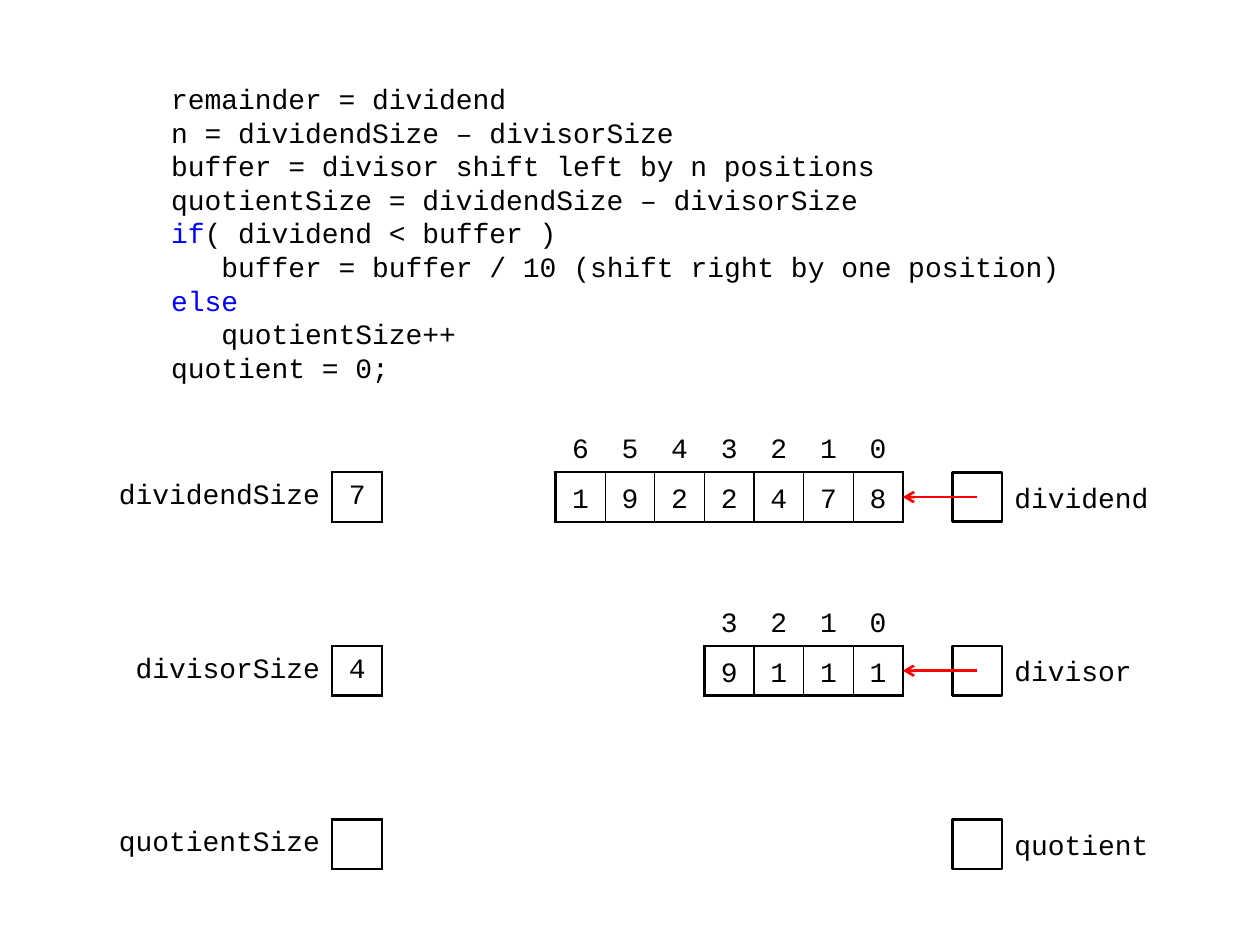
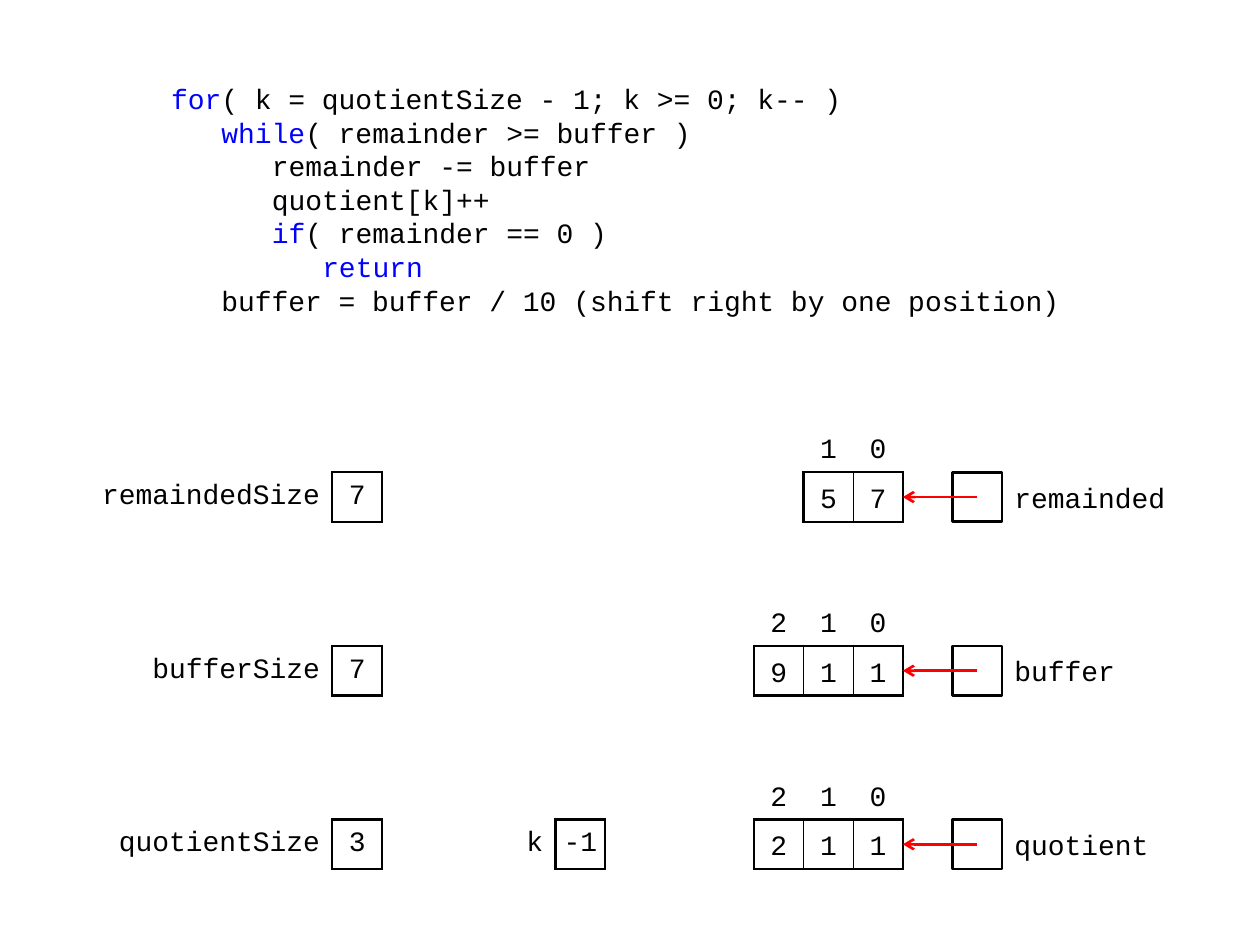
import pptx
import pptx.util
import pptx.dml.color
import pptx.enum.shapes
import pptx.enum.text
import pptx.oxml.ns
import lxml.etree

Cm = pptx.util.Cm
Pt = pptx.util.Pt
RGBColor = pptx.dml.color.RGBColor
ALIGN = pptx.enum.text.PP_ALIGN
MIDDLE = pptx.enum.text.MSO_ANCHOR.MIDDLE
qn = pptx.oxml.ns.qn

BLACK = RGBColor(0, 0, 0)
WHITE = RGBColor(255, 255, 255)
KEYWORD_BLUE = RGBColor(0, 0, 255)
ARROW_RED = RGBColor(255, 0, 0)
FONT = "Courier New"
FONT_SIZE = 16
THICK, THIN = 1.5, 0.75

CELL = 1
FIRST_ROW, ROW_STEP = 9.52, 3.5
SIZE_RIGHT, COUNTER_RIGHT = 7.7, 12.2
DIGITS_RIGHT = 18.2
POINTER_LEFT = DIGITS_RIGHT + CELL
NAME_LEFT = POINTER_LEFT + CELL
INDENT = Pt(3 * 0.6 * FONT_SIZE)

SLIDES = [
    {
        "code": [
            (0, "", "remainder = dividend"),
            (0, "", "n = dividendSize – divisorSize"),
            (0, "", "buffer = divisor shift left by n positions"),
            (0, "", "quotientSize = dividendSize – divisorSize"),
            (0, "if", "( dividend < buffer )"),
            (1, "", "buffer = buffer / 10 (shift right by one position)"),
            (0, "else", ""),
            (1, "", "quotientSize++"),
            (0, "", "quotient = 0;"),
        ],
        "numbers": [
            ("dividendSize", "7", "dividend", "1922478"),
            ("divisorSize", "4", "divisor", "9111"),
            ("quotientSize", "", "quotient", ""),
        ],
        "counter": None,
    },
    {
        "code": [
            (0, "for", "( k = quotientSize - 1; k >= 0; k-- )"),
            (1, "while", "( remainder >= buffer )"),
            (2, "", "remainder -= buffer"),
            (2, "", "quotient[k]++"),
            (2, "if", "( remainder == 0 )"),
            (3, "return", ""),
            (1, "", "buffer = buffer / 10 (shift right by one position)"),
        ],
        "numbers": [
            ("remaindedSize", "7", "remainded", "57"),
            ("bufferSize", "7", "buffer", "911"),
            ("quotientSize", "3", "quotient", "211"),
        ],
        "counter": ("k", "-1"),
    },
]


def format_run(run, color=BLACK):
    run.font.name = FONT
    run.font.size = Pt(FONT_SIZE)
    run.font.color.rgb = color


def add_code(slide, lines):
    box = slide.shapes.add_textbox(Cm(3.2), Cm(1.52), Cm(19), Cm(6.5))
    frame = box.text_frame
    frame.word_wrap = True
    for number, (level, keyword, rest) in enumerate(lines):
        paragraph = frame.add_paragraph() if number else frame.paragraphs[0]
        paragraph.line_spacing = Pt(1.2 * FONT_SIZE)
        paragraph._p.get_or_add_pPr().set("marL", str(level * INDENT))
        for text, color in ((keyword, KEYWORD_BLUE), (rest, BLACK)):
            if text:
                run = paragraph.add_run()
                run.text = text
                format_run(run, color)


def set_borders(cell, left=0, right=0, top=0, bottom=0):
    properties = cell._tc.get_or_add_tcPr()
    for side, width in zip("LRTB", (left, right, top, bottom)):
        line = lxml.etree.SubElement(properties, qn("a:ln" + side), w=str(Pt(width)))
        if width:
            fill = lxml.etree.SubElement(line, qn("a:solidFill"))
            lxml.etree.SubElement(fill, qn("a:srgbClr"), val=str(BLACK))
        else:
            lxml.etree.SubElement(line, qn("a:noFill"))
    cell.fill.background()


def fill_cell(cell, text, align, side_margin, end_margin, spacing=None):
    cell.vertical_anchor = MIDDLE
    cell.margin_left = cell.margin_right = Cm(side_margin)
    cell.margin_top = cell.margin_bottom = Cm(end_margin)
    cell.text_frame.text = text
    paragraph = cell.text_frame.paragraphs[0]
    paragraph.alignment = align
    paragraph.line_spacing = spacing
    for run in paragraph.runs:
        format_run(run)


def add_table(slide, rows, widths, right, top):
    total = sum(widths)
    frame = slide.shapes.add_table(rows, len(widths), Cm(right - total), Cm(top),
                                   Cm(total), Cm(rows * CELL))
    table = frame.table
    table.first_row = table.horz_banding = False
    for column, width in zip(table.columns, widths):
        column.width = Cm(width)
    for row in table.rows:
        row.height = Cm(CELL)
    return table


def add_value(slide, name, value, right, top):
    name_width = min(5, max(CELL, (len(name) - 2) / 2))
    table = add_table(slide, 1, [name_width, CELL], right, top)
    label, box = table.cell(0, 0), table.cell(0, 1)
    fill_cell(label, name, ALIGN.RIGHT, 0.25, 0.1)
    fill_cell(box, value, ALIGN.CENTER, 0.1 if len(value) > 1 else 0.25, 0.1)
    set_borders(label, right=THICK)
    set_borders(box, THICK, THICK, THICK, THICK)


def add_digits(slide, digits, top):
    count = len(digits)
    table = add_table(slide, 2, [CELL] * count, DIGITS_RIGHT, top - CELL)
    for column, digit in enumerate(digits):
        position, box = table.cell(0, column), table.cell(1, column)
        fill_cell(position, str(count - 1 - column), ALIGN.CENTER, 0.25, 0.05, 1.25)
        fill_cell(box, digit, ALIGN.CENTER, 0.1, 0.05, 1.25)
        set_borders(position, bottom=THICK)
        set_borders(box, THIN if column else THICK,
                    THIN if column < count - 1 else THICK, THICK, THICK)


def add_pointer(slide, name, top):
    label = slide.shapes.add_textbox(Cm(NAME_LEFT), Cm(top),
                                     Cm((len(name) - 1) / 2), Cm(CELL))
    frame = label.text_frame
    frame.word_wrap = False
    frame.vertical_anchor = MIDDLE
    frame.margin_left, frame.margin_right = Cm(0.25), Cm(0.2)
    frame.margin_top = frame.margin_bottom = 0
    frame.text = name
    format_run(frame.paragraphs[0].runs[0])

    box = slide.shapes.add_shape(pptx.enum.shapes.MSO_SHAPE.RECTANGLE,
                                 Cm(POINTER_LEFT), Cm(top), Cm(CELL), Cm(CELL))
    box.shadow.inherit = False
    box.fill.solid()
    box.fill.fore_color.rgb = WHITE
    box.line.color.rgb = BLACK
    box.line.width = Pt(THICK)


def add_arrow(slide, top):
    middle = Cm(top + CELL / 2)
    arrow = slide.shapes.add_connector(
        pptx.enum.shapes.MSO_CONNECTOR.STRAIGHT,
        Cm(POINTER_LEFT + CELL / 2), middle, Cm(DIGITS_RIGHT), middle)
    arrow.line.color.rgb = ARROW_RED
    arrow.line.width = Pt(THICK)
    lxml.etree.SubElement(arrow.line._get_or_add_ln(), qn("a:tailEnd"), type="arrow")
    lxml.etree.SubElement(arrow._element.spPr, qn("a:effectLst"))


presentation = pptx.Presentation()
presentation.slide_width = pptx.util.Inches(10)
presentation.slide_height = pptx.util.Inches(7.5)

for content in SLIDES:
    slide = presentation.slides.add_slide(presentation.slide_layouts[6])
    add_code(slide, content["code"])
    for row, (size_name, size, name, digits) in enumerate(content["numbers"]):
        top = FIRST_ROW + row * ROW_STEP
        add_value(slide, size_name, size, SIZE_RIGHT, top)
        add_pointer(slide, name, top)
        if digits:
            add_digits(slide, digits, top)
            add_arrow(slide, top)
    if content["counter"]:
        add_value(slide, *content["counter"], COUNTER_RIGHT, top)

presentation.save("out.pptx")
